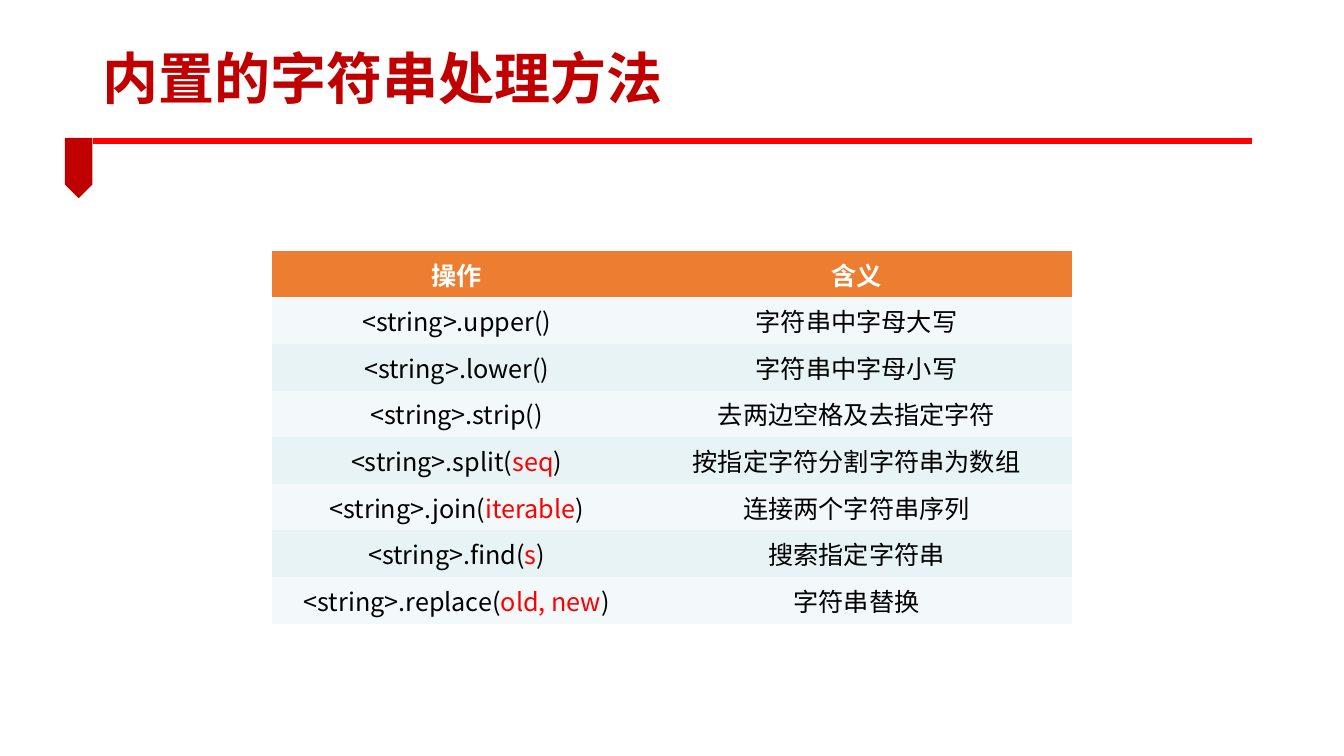
import pptx
import pptx.util
import pptx.dml.color
import pptx.enum.shapes
import pptx.enum.text
import pptx.oxml.ns
import lxml.etree

Cm = pptx.util.Cm
FONT = "Noto Sans CJK SC"
RED, DARK, BLACK, WHITE = "FF0000", "C00000", "000000", "FFFFFF"
HEAD, BANDS = "ED7D31", ("F3F9FA", "E7F3F4")
PLAIN = "{2D5ABB26-0587-4C30-8999-92F81FD0307C}"

TITLE = "内置的字符串处理方法"
HEADS = ("操作", "含义")
METHODS = [
    ("upper", "", "字符串中字母大写"),
    ("lower", "", "字符串中字母小写"),
    ("strip", "", "去两边空格及去指定字符"),
    ("split", "seq", "按指定字符分割字符串为数组"),
    ("join", "iterable", "连接两个字符串序列"),
    ("find", "s", "搜索指定字符串"),
    ("replace", "old, new", "字符串替换"),
]


def color(code):
    """Turn a hex string into a colour."""
    return pptx.dml.color.RGBColor.from_string(code)


def tag(parent, name):
    """Add an empty drawing element to a parent."""
    return lxml.etree.SubElement(parent, pptx.oxml.ns.qn(name))


class Page:
    """The slide being built and its text style."""

    def __init__(self, slide, font):
        """Keep the slide and the font name."""
        self.slide, self.font = slide, font

    def style(self, run, size, code, bold=False):
        """Format one run for Latin and Chinese text."""
        run.font.size = pptx.util.Pt(size)
        run.font.bold = bold
        run.font.color.rgb = color(code)
        run.font.name = self.font
        tag(run.font._element, "a:ea").set("typeface", self.font)

    def title(self, text, left, top, width, height):
        """Place and format the title."""
        shape = self.slide.shapes.title
        shape.left, shape.top = Cm(left), Cm(top)
        shape.width, shape.height = Cm(width), Cm(height)
        frame = shape.text_frame
        frame.text = text
        frame.auto_size = pptx.enum.text.MSO_AUTO_SIZE.NONE
        frame.vertical_anchor = pptx.enum.text.MSO_ANCHOR.MIDDLE
        para = frame.paragraphs[0]
        para.alignment = pptx.enum.text.PP_ALIGN.LEFT
        para.line_spacing = 0.9
        self.style(para.runs[0], 40, DARK, True)

    def rule(self, left, right, top):
        """Draw the red line under the title."""
        line = self.slide.shapes.add_connector(
            pptx.enum.shapes.MSO_CONNECTOR.STRAIGHT,
            Cm(left), Cm(top), Cm(right), Cm(top))
        line.line.color.rgb = color(RED)
        line.line.width = pptx.util.Pt(4.5)
        tag(line._element.spPr, "a:effectLst")

    def ribbon(self, left, top, width, height):
        """Draw the ribbon that points down."""
        shape = self.slide.shapes.add_shape(
            pptx.enum.shapes.MSO_SHAPE.PENTAGON,
            Cm(left), Cm(top), Cm(width), Cm(height))
        shape.rotation = 90
        shape.shadow.inherit = False
        shape.fill.solid()
        shape.fill.fore_color.rgb = color(DARK)
        shape.line.fill.background()

    def cell(self, cell, fill, parts, bold=False):
        """Fill a cell and write its pairs of text and colour."""
        cell.fill.solid()
        cell.fill.fore_color.rgb = color(fill)
        para = cell.text_frame.paragraphs[0]
        para.alignment = pptx.enum.text.PP_ALIGN.CENTER
        for text, code in parts:
            run = para.add_run()
            run.text = text
            self.style(run, 18, code, bold)

    def table(self, left, top, widths, height):
        """Add the table of string methods."""
        count = len(METHODS) + 1
        frame = self.slide.shapes.add_table(
            count, len(widths), Cm(left), Cm(top),
            Cm(sum(widths)), Cm(height * count))
        grid = frame.table
        grid._tbl.tblPr.find(pptx.oxml.ns.qn("a:tableStyleId")).text = PLAIN
        for col, width in zip(grid.columns, widths):
            col.width = Cm(width)
        for row in grid.rows:
            row.height = Cm(height)
        for col, head in enumerate(HEADS):
            self.cell(grid.cell(0, col), HEAD, [(head, WHITE)], True)
        for row, (name, args, sense) in enumerate(METHODS, 1):
            fill = BANDS[(row - 1) % 2]
            call = [(f"<string>.{name}()", BLACK)]
            if args:
                call = [(f"<string>.{name}(", BLACK), (args, RED), (")", BLACK)]
            self.cell(grid.cell(row, 0), fill, call)
            self.cell(grid.cell(row, 1), fill, [(sense, BLACK)])


deck = pptx.Presentation()
deck.slide_width, deck.slide_height = Cm(33.87), Cm(19.05)
page = Page(deck.slides.add_slide(deck.slide_layouts[5]), FONT)
page.rule(2.34, 31.55, 3.56)
page.ribbon(1.22, 3.89, 1.52, 0.69)
page.title(TITLE, 2.34, 0.89, 21.97, 2.34)
page.table(6.86, 6.32, (9.3, 10.85), 1.02)
deck.save("out.pptx")
